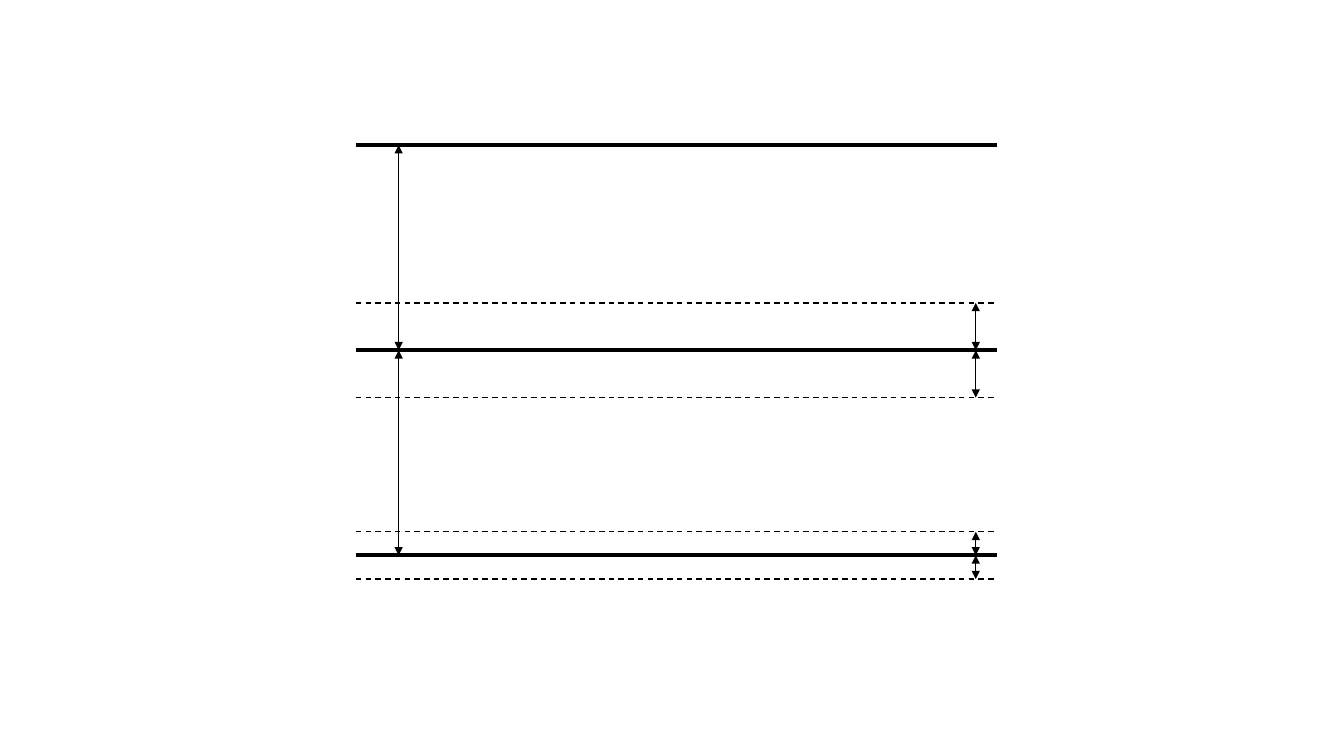
from itertools import pairwise

from pptx import Presentation
from pptx.dml.color import RGBColor
from pptx.enum.dml import MSO_LINE_DASH_STYLE as Dash
from pptx.enum.shapes import MSO_CONNECTOR as Connector
from pptx.oxml.ns import qn
from pptx.util import Inches, Pt
from lxml.etree import SubElement

INK = "000000"
SLIDE_WIDTH, SLIDE_HEIGHT = 13.33, 7.5
# Diagram box: left, top, width, and the step between levels
DIAGRAM = (3.53, 1.44, 6.36, 2.035)
# Half-width of the tolerance band around each level, None for no band
BAND_HALVES = (None, 0.47, 0.235)


def color(hex_code):
    return RGBColor.from_string(hex_code)


def add_line(parts, start, end, weight, dash=None, arrows=False):
    connector = parts.add_connector(
        Connector.STRAIGHT, *(Inches(length) for length in (*start, *end)))
    line = connector.line
    line.color.rgb = color(INK)
    line.width = Pt(weight)
    if dash:
        line.dash_style = dash
    properties = connector._element.spPr
    if arrows:
        outline = properties.find(qn("a:ln"))
        for tip in ("a:headEnd", "a:tailEnd"):
            SubElement(outline, qn(tip), type="triangle")
    SubElement(properties, qn("a:effectLst"))


def add_level_diagram(slide, left, top, width, step):
    parts = slide.shapes.add_group_shape().shapes
    right = left + width
    spacing_x = left + width / 15
    band_x = right - width / 30
    levels = [top + step * row for row in range(len(BAND_HALVES))]

    # Thick level lines
    for level in levels:
        add_line(parts, (left, level), (right, level), 3)

    # Arrows between neighbouring levels
    for upper, lower in pairwise(levels):
        add_line(parts, (spacing_x, upper), (spacing_x, lower), 0.5, arrows=True)

    # Dashed band edges, each with an arrow to its level
    for level, half in zip(levels, BAND_HALVES):
        if half is None:
            continue
        above, below = level - half, level + half
        for edge in (above, below):
            add_line(parts, (left, edge), (right, edge), 1, dash=Dash.DASH)
        for start, end in pairwise((above, level, below)):
            add_line(parts, (band_x, start), (band_x, end), 0.5, arrows=True)


def main():
    deck = Presentation()
    deck.slide_width = Inches(SLIDE_WIDTH)
    deck.slide_height = Inches(SLIDE_HEIGHT)
    slide = deck.slides.add_slide(deck.slide_layouts[6])
    add_level_diagram(slide, *DIAGRAM)
    deck.save("out.pptx")


if __name__ == "__main__":
    main()
